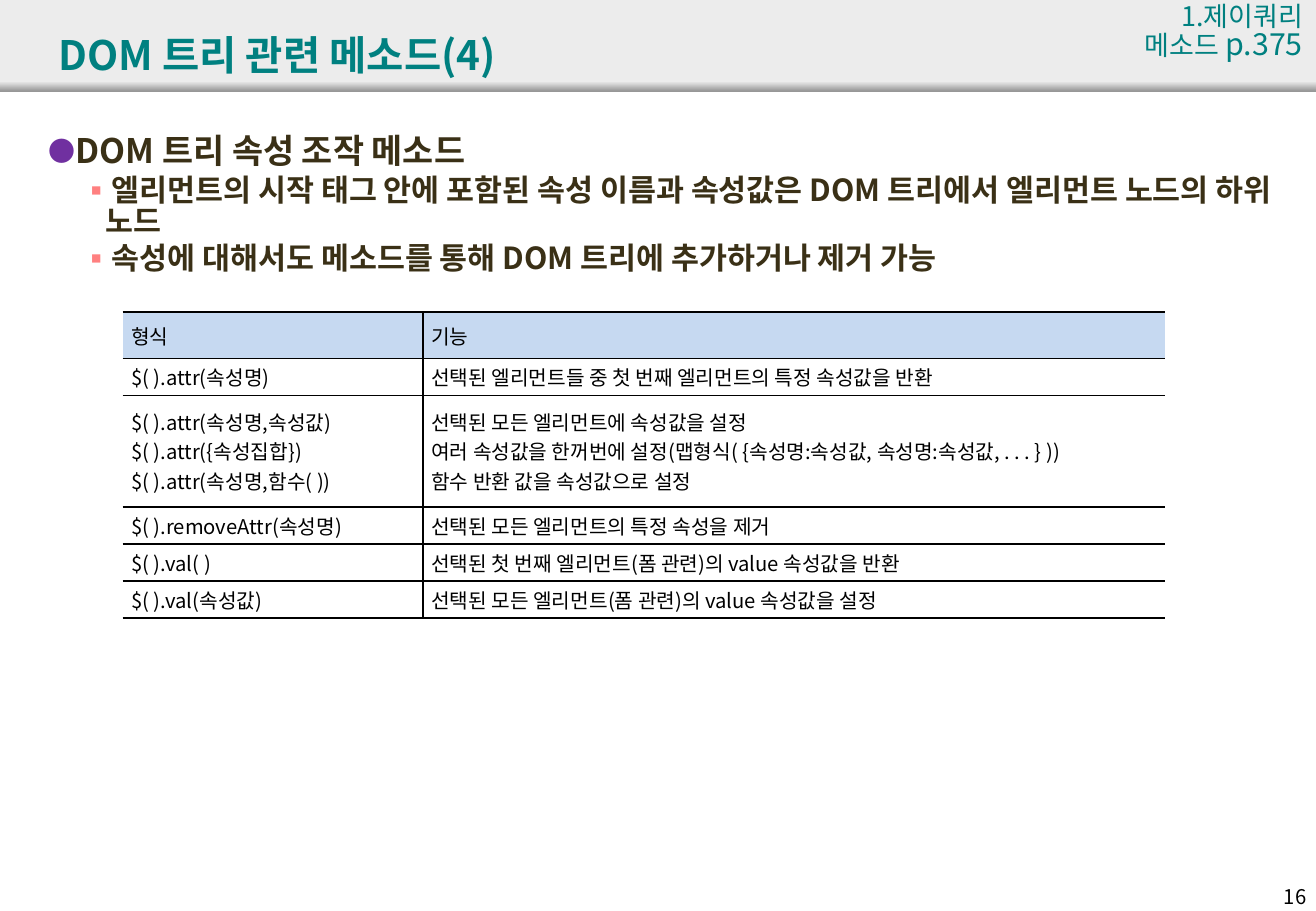
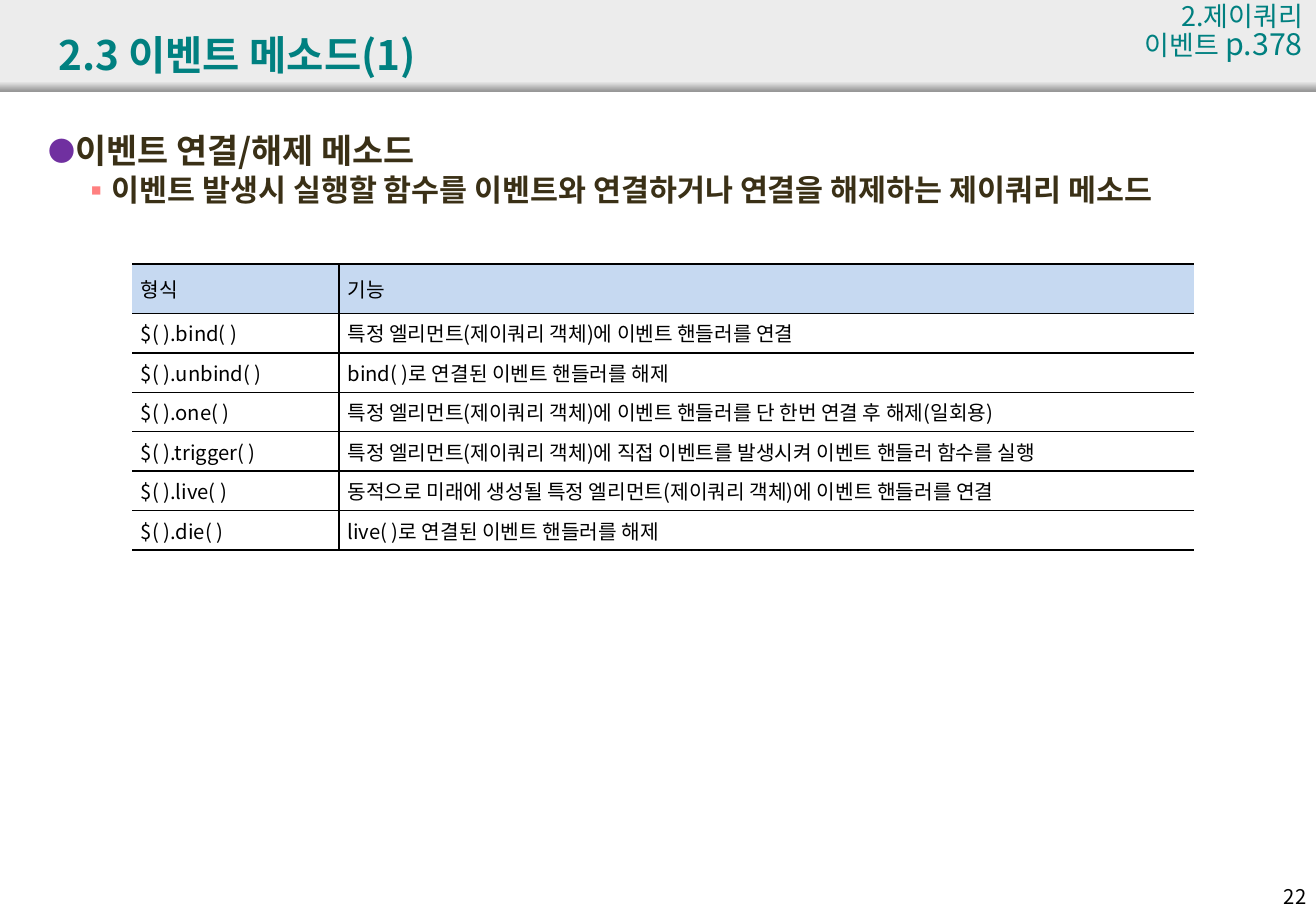
from lxml import etree
from pptx import Presentation, util as u
from pptx.dml.color import RGBColor
from pptx.enum import shapes as sh, text as tx
from pptx.oxml import ns

PX = 4572
FACE = "Noto Sans CJK KR"
HUE = {"teal": "008080", "ink": "3A3016", "black": "000000", "band": "ECECEC",
       "edge": "979797", "head": "C6D9F1", "dot": "7030A0", "box": "FF8080"}
LEVELS = [
    {"size": 20, "left": 40, "char": "●", "hue": "dot", "pct": 80},
    {"size": 18, "left": 94, "char": "▪", "hue": "box", "pct": 100},
]
PAGES = [
    {
        "title": "DOM 트리 관련 메소드(4)",
        "part": "1.제이쿼리 메소드 ", "ref": "p.375", "num": "16",
        "list": [
            (0, "DOM 트리 속성 조작 메소드"),
            (1, "엘리먼트의 시작 태그 안에 포함된 속성 이름과 속성값은 DOM 트리에서 엘리먼트 노드의 하위 노드"),
            (1, "속성에 대해서도 메소드를 통해 DOM 트리에 추가하거나 제거 가능"),
        ],
        "at": (202, 514), "cols": (494, 1222), "rows": (76, 61, 184, 61, 61, 61),
        "cells": [
            ("형식", "기능"),
            ("$( ).attr(속성명)", "선택된 엘리먼트들 중 첫 번째 엘리먼트의 특정 속성값을 반환"),
            ("$( ).attr(속성명,속성값)\n$( ).attr({속성집합})\n$( ).attr(속성명,함수( ))",
             "선택된 모든 엘리먼트에 속성값을 설정\n"
             "여러 속성값을 한꺼번에 설정(맵형식( {속성명:속성값, 속성명:속성값, . . . } ))\n"
             "함수 반환 값을 속성값으로 설정"),
            ("$( ).removeAttr(속성명)", "선택된 모든 엘리먼트의 특정 속성을 제거"),
            ("$( ).val( )", "선택된 첫 번째 엘리먼트(폼 관련)의 value 속성값을 반환"),
            ("$( ).val(속성값)", "선택된 모든 엘리먼트(폼 관련)의 value 속성값을 설정"),
        ],
    },
    {
        "title": "2.3 이벤트 메소드(1)",
        "part": "2.제이쿼리 이벤트 ", "ref": "p.378", "num": "22",
        "list": [
            (0, "이벤트 연결/해제 메소드"),
            (1, "이벤트 발생시 실행할 함수를 이벤트와 연결하거나 연결을 해제하는 제이쿼리 메소드"),
        ],
        "at": (218, 435), "cols": (340, 1408), "rows": (81,) + (65,) * 6,
        "cells": [
            ("형식", "기능"),
            ("$( ).bind( )", "특정 엘리먼트(제이쿼리 객체)에 이벤트 핸들러를 연결"),
            ("$( ).unbind( )", "bind( )로 연결된 이벤트 핸들러를 해제"),
            ("$( ).one( )", "특정 엘리먼트(제이쿼리 객체)에 이벤트 핸들러를 단 한번 연결 후 해제(일회용)"),
            ("$( ).trigger( )", "특정 엘리먼트(제이쿼리 객체)에 직접 이벤트를 발생시켜 이벤트 핸들러 함수를 실행"),
            ("$( ).live( )", "동적으로 미래에 생성될 특정 엘리먼트(제이쿼리 객체)에 이벤트 핸들러를 연결"),
            ("$( ).die( )", "live( )로 연결된 이벤트 핸들러를 해제"),
        ],
    },
]


def style(para, size, hue, bold=False, align=tx.PP_ALIGN.LEFT):
    para.alignment = align
    font = para.font
    font.size, font.bold, font.name = u.Pt(size), bold, FACE
    font.color.rgb = RGBColor.from_string(HUE[hue])
    props = para._p.xpath("./a:pPr/a:defRPr")[0]
    etree.SubElement(props, ns.qn("a:ea"), typeface=FACE)


def place(shape, left, top, width, height):
    shape.left, shape.top = left * PX, top * PX
    shape.width, shape.height = width * PX, height * PX
    frame = shape.text_frame
    frame.word_wrap = True
    frame.auto_size = tx.MSO_AUTO_SIZE.NONE
    return frame


prs = Presentation()
prs.slide_width, prs.slide_height = 2166 * PX, 1500 * PX
lay = prs.slide_layouts[1]

for page in PAGES:
    slide = prs.slides.add_slide(lay)

    if page is PAGES[0]:
        for spot, (top, high) in enumerate([(0, 150), (134, 16)]):
            bar = slide.shapes.add_shape(sh.MSO_SHAPE.RECTANGLE, 0, top * PX,
                                         prs.slide_width, high * PX)
            bar.shadow.inherit = False
            bar.line.fill.background()
            if spot:
                bar.fill.gradient()
                bar.fill.gradient_angle = 270
                for stop, hue in zip(bar.fill.gradient_stops, ("band", "edge")):
                    stop.color.rgb = RGBColor.from_string(HUE[hue])
            else:
                bar.fill.solid()
                bar.fill.fore_color.rgb = RGBColor.from_string(HUE["band"])
            lay.shapes.element.insert(2 + spot, bar.element)

    frame = place(slide.shapes.title, 76, 26, 1984, 126)
    frame.vertical_anchor = tx.MSO_ANCHOR.MIDDLE
    frame.text = page["title"]
    style(frame.paragraphs[0], 24, "teal", True)

    frame = place(slide.placeholders[1], 60, 214, 2064, 1244)
    frame.text = "\n".join(words for _, words in page["list"])
    for para, (level, _) in zip(frame.paragraphs, page["list"]):
        look = LEVELS[level]
        para.level = level
        props = para._p.get_or_add_pPr()
        props.set("marL", str(look["left"] * PX))
        props.set("indent", str(-40 * PX))
        tint = etree.SubElement(props, ns.qn("a:buClr"))
        etree.SubElement(tint, ns.qn("a:srgbClr"), val=HUE[look["hue"]])
        etree.SubElement(props, ns.qn("a:buSzPct"), val=str(look["pct"] * 1000))
        etree.SubElement(props, ns.qn("a:buFont"), typeface=FACE)
        etree.SubElement(props, ns.qn("a:buChar"), char=look["char"])
        para.line_spacing = 0.85
        style(para, look["size"], "ink", True)

    cols, rows = page["cols"], page["rows"]
    left, top = page["at"]
    grid = slide.shapes.add_table(len(rows), len(cols), left * PX, top * PX,
                                  sum(cols) * PX, sum(rows) * PX).table
    grid.first_row = grid.horz_banding = False
    for col, wide in zip(grid.columns, cols):
        col.width = wide * PX
    for r, (row, high) in enumerate(zip(grid.rows, rows)):
        row.height = high * PX
        for c, cell in enumerate(row.cells):
            cell.margin_left = cell.margin_right = 14 * PX
            cell.margin_top = cell.margin_bottom = 0
            cell.vertical_anchor = tx.MSO_ANCHOR.MIDDLE
            props = cell._tc.get_or_add_tcPr()
            for side in "LRTB":
                edge = etree.SubElement(props, ns.qn("a:ln" + side), w="12700")
                if side == "LR"[c]:
                    etree.SubElement(edge, ns.qn("a:noFill"))
                else:
                    fill = etree.SubElement(edge, ns.qn("a:solidFill"))
                    etree.SubElement(fill, ns.qn("a:srgbClr"), val=HUE["black"])
            if r == 0:
                cell.fill.solid()
                cell.fill.fore_color.rgb = RGBColor.from_string(HUE["head"])
            else:
                cell.fill.background()
            cell.text = page["cells"][r][c]
            for para in cell.text_frame.paragraphs:
                style(para, 12, "black", align=tx.PP_ALIGN.JUSTIFY)

    frame = place(slide.shapes.add_textbox(0, 0, 0, 0), 1794, 0, 370, 80)
    frame.margin_left = 50 * PX
    para = frame.paragraphs[0]
    para.line_spacing = 0.8
    para.add_run().text = page["part"]
    run = para.add_run()
    run.text = page["ref"]
    run.font.size = u.Pt(18)
    style(para, 16, "teal", align=tx.PP_ALIGN.RIGHT)

    frame = place(slide.shapes.add_textbox(0, 0, 0, 0), 2060, 1446, 110, 60)
    frame.text = page["num"]
    style(frame.paragraphs[0], 12, "black", align=tx.PP_ALIGN.RIGHT)

prs.save("out.pptx")
